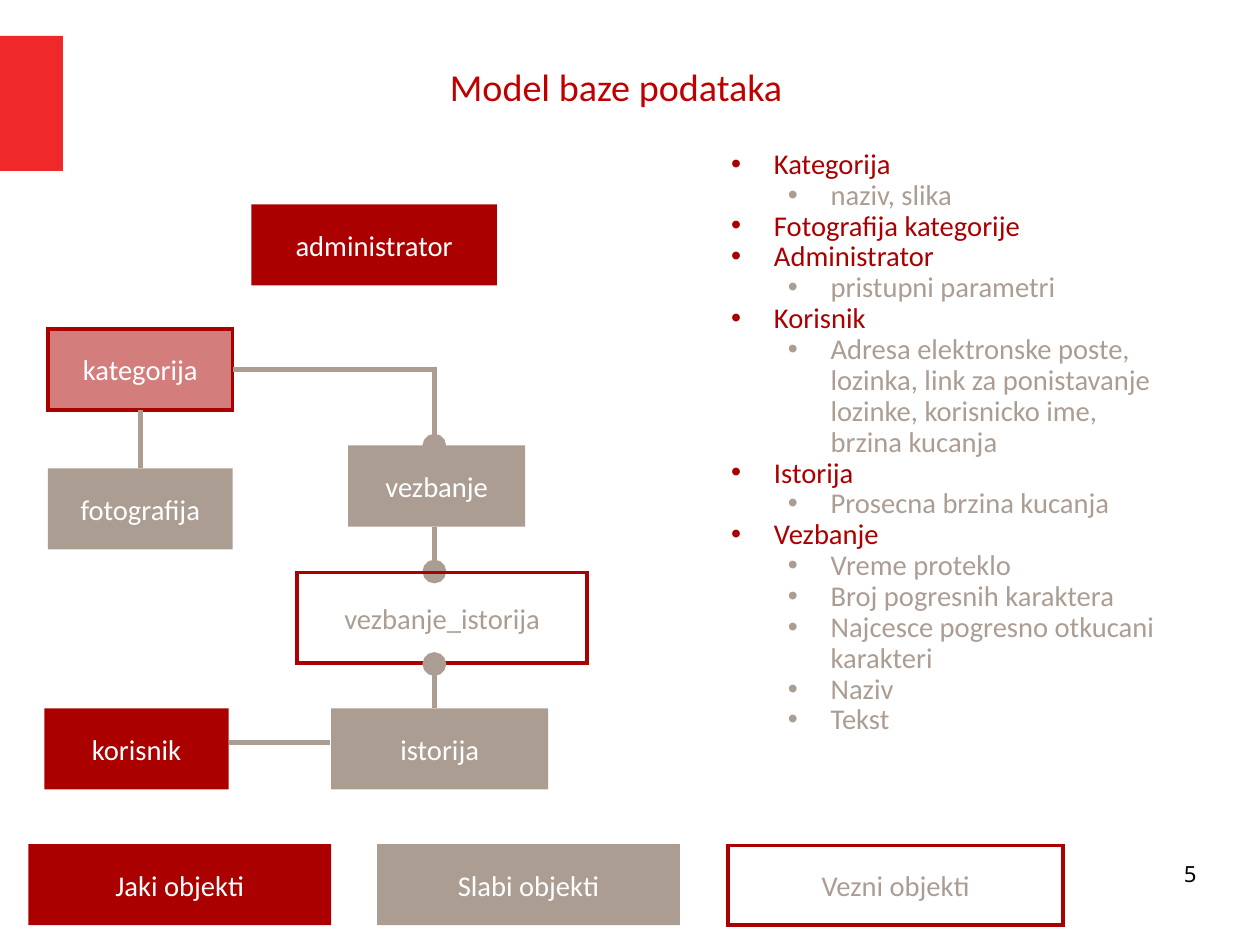
"""Build the database model slide."""
import lxml.etree
import pptx
import pptx.dml.color
import pptx.enum.shapes
import pptx.enum.text
import pptx.oxml.ns
import pptx.util

Pt = pptx.util.Pt
qn = pptx.oxml.ns.qn
PP_ALIGN = pptx.enum.text.PP_ALIGN
ANCHOR = pptx.enum.text.MSO_ANCHOR
CONNECTOR = pptx.enum.shapes.MSO_CONNECTOR

RED = "AA0000"
TAUPE = "AC9D93"
WHITE = "FFFFFF"
LINK_X = 273.6

ENTITIES = [
    ("Kategorija", ["naziv, slika"]),
    ("Fotografija kategorije", []),
    ("Administrator", ["pristupni parametri"]),
    ("Korisnik", ["Adresa elektronske poste, lozinka, link za ponistavanje lozinke, "
                  "korisnicko ime, brzina kucanja"]),
    ("Istorija", ["Prosecna brzina kucanja"]),
    ("Vezbanje", ["Vreme proteklo", "Broj pogresnih karaktera",
                  "Najcesce pogresno otkucani karakteri", "Naziv", "Tekst"]),
]


def color(value):
    return pptx.dml.color.RGBColor.from_string(value)


def format_paragraph(paragraph, size, font_color, align, font="Calibri"):
    paragraph.alignment = align
    for run in paragraph.runs:
        run.font.size = Pt(size)
        run.font.name = font
        run.font.color.rgb = color(font_color)


def format_line(shape, line_color, width):
    shape.line.color.rgb = color(line_color)
    shape.line.width = Pt(width)
    outline = shape.line._get_or_add_ln()
    lxml.etree.SubElement(outline, qn("a:miter"), lim="800000")
    return outline


def add_box(slide, text, left, top, width, height, fill=None, line=None,
            font_color=WHITE, opacity=None):
    shape = slide.shapes.add_shape(pptx.enum.shapes.MSO_SHAPE.RECTANGLE,
                                   Pt(left), Pt(top), Pt(width), Pt(height))
    shape.shadow.inherit = False
    if fill:
        shape.fill.solid()
        shape.fill.fore_color.rgb = color(fill)
    else:
        shape.fill.background()
    if opacity:
        fill_color = shape.fill._xPr.find(qn("a:solidFill"))[0]
        lxml.etree.SubElement(fill_color, qn("a:alpha"), val=str(opacity * 1000))
    if line:
        format_line(shape, line, 2.25)
    else:
        shape.line.fill.background()
    if text:
        shape.text_frame.text = text
        shape.text_frame.word_wrap = True
        shape.text_frame.vertical_anchor = ANCHOR.MIDDLE
        format_paragraph(shape.text_frame.paragraphs[0], 18, font_color, PP_ALIGN.CENTER)
    return shape


def add_link(slide, start, end, kind=CONNECTOR.STRAIGHT, oval=False):
    connector = slide.shapes.add_connector(kind, *[Pt(value) for value in start + end])
    outline = format_line(connector, TAUPE, 3)
    properties = connector._element.spPr
    if kind == CONNECTOR.ELBOW:
        properties.find(qn("a:prstGeom")).set("prst", "bentConnector2")
    if oval:
        lxml.etree.SubElement(outline, qn("a:tailEnd"), type="oval", w="lg", len="lg")
    lxml.etree.SubElement(properties, qn("a:effectLst"))
    return connector


def add_title(slide, text):
    title = slide.shapes.title
    title.left, title.top, title.width, title.height = Pt(64.8), Pt(39.6), Pt(646.6), Pt(46.8)
    frame = title.text_frame
    frame.text = text
    frame.vertical_anchor = ANCHOR.TOP
    frame.paragraphs[0].line_spacing = 0.9
    format_paragraph(frame.paragraphs[0], 24, "C00000", PP_ALIGN.CENTER)


def add_bullet(paragraph, text, level):
    font_color = (RED, TAUPE)[level]
    paragraph.text = text
    paragraph.level = level
    paragraph.line_spacing = 0.9
    format_paragraph(paragraph, 18, font_color, PP_ALIGN.LEFT)
    properties = paragraph._p.get_or_add_pPr()
    properties.set("marL", str(Pt((27, 62.7)[level])))
    properties.set("indent", str(Pt(-27)))
    bullet_color = lxml.etree.SubElement(properties, qn("a:buClr"))
    lxml.etree.SubElement(bullet_color, qn("a:srgbClr"), val=font_color)
    lxml.etree.SubElement(properties, qn("a:buFont"), typeface="Arial")
    lxml.etree.SubElement(properties, qn("a:buChar"), char="•")


def add_entity_list(slide):
    frame = slide.shapes.add_textbox(Pt(453.5), Pt(90.7), Pt(288), Pt(376.6)).text_frame
    frame.word_wrap = True
    frame.vertical_anchor = ANCHOR.MIDDLE
    items = []
    for entity, attributes in ENTITIES:
        items.append((entity, 0))
        items.extend((attribute, 1) for attribute in attributes)
    for index, (text, level) in enumerate(items):
        paragraph = frame.add_paragraph() if index else frame.paragraphs[0]
        add_bullet(paragraph, text, level)


def add_slide_number(slide, text):
    frame = slide.shapes.add_textbox(Pt(568.8), Pt(542.2), Pt(185), Pt(41)).text_frame
    frame.word_wrap = True
    frame.margin_left = frame.margin_right = frame.margin_top = frame.margin_bottom = 0
    frame.text = text
    format_paragraph(frame.paragraphs[0], 14, "000000", PP_ALIGN.RIGHT, "Noto Sans")


def add_model(slide):
    category = add_box(slide, "kategorija", 30.4, 207.1, 116, 51.1, RED, RED, opacity=51)
    add_box(slide, "korisnik", 28, 446.2, 116, 51.1, RED)
    add_box(slide, "administrator", 158.3, 128.7, 154.8, 51.1, RED)
    photo = add_box(slide, "fotografija", 30.2, 295, 116.4, 51.1, TAUPE)
    add_link(slide, (146.9, 232.6), (LINK_X, 280.8), CONNECTOR.ELBOW, oval=True)
    photo_link = add_link(slide, (88.4, 295), (88.4, 258.2))
    photo_link.begin_connect(photo, 0)
    photo_link.end_connect(category, 2)
    add_box(slide, "istorija", 208.6, 446.2, 136.8, 51.1, TAUPE)
    add_link(slide, (144, 467.8), (208.1, 467.8))
    add_box(slide, "vezbanje", 219.3, 280.6, 111.6, 51.1, TAUPE)
    add_link(slide, (LINK_X, 331.7), (LINK_X, 360), oval=True)
    add_box(slide, "vezbanje_istorija", 187.1, 360.7, 182.9, 56.9,
            line=RED, font_color=TAUPE)
    add_link(slide, (LINK_X, 446.2), (LINK_X, 418.3), oval=True)


def add_legend(slide):
    add_box(slide, "Jaki objekti", 17.8, 531.7, 190.8, 51.1, RED)
    add_box(slide, "Slabi objekti", 237.5, 531.7, 190.8, 51.1, TAUPE)
    add_box(slide, "Vezni objekti", 458.7, 532.5, 211, 50.4, line=RED, font_color=TAUPE)


def main():
    presentation = pptx.Presentation()
    presentation.slide_width = Pt(793.7)
    presentation.slide_height = Pt(595.28)
    slide = presentation.slides.add_slide(presentation.slide_layouts[5])
    add_box(slide, "", 0, 22.6, 39.6, 85, "EF2929")
    add_title(slide, "Model baze podataka")
    add_model(slide)
    add_entity_list(slide)
    add_legend(slide)
    add_slide_number(slide, "5")
    presentation.save("out.pptx")


if __name__ == "__main__":
    main()
